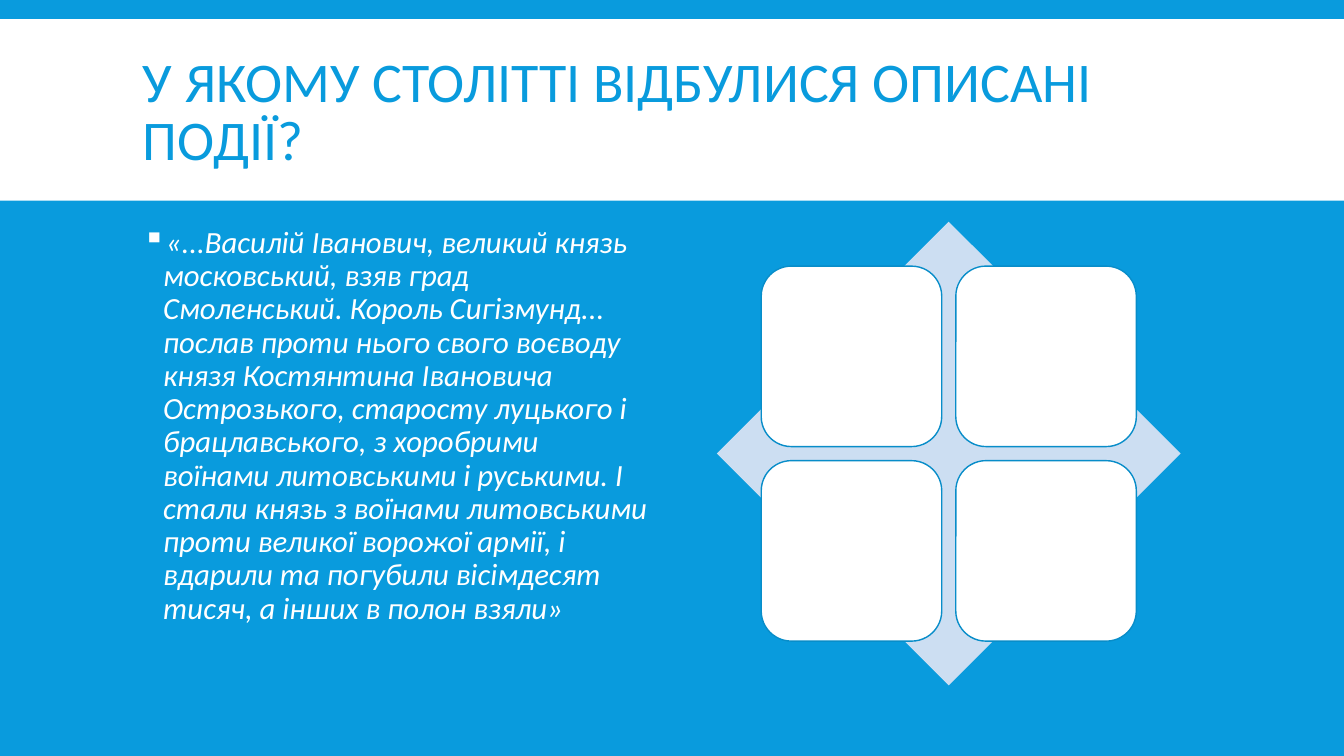
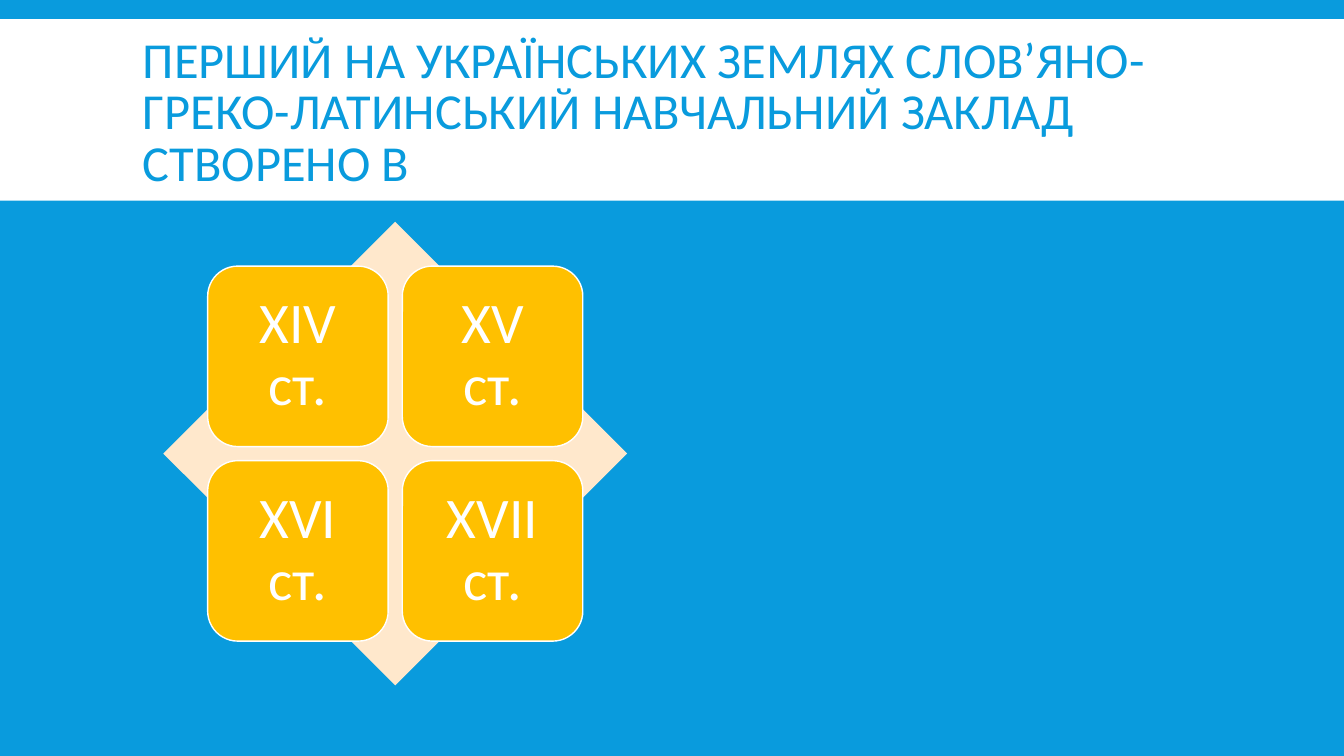
"""Build two history quiz slides with a title band and a diamond of four answer tiles."""
from dataclasses import dataclass

from lxml import etree
from pptx import Presentation
from pptx.dml.color import RGBColor
from pptx.enum.shapes import MSO_SHAPE
from pptx.enum.text import MSO_ANCHOR, PP_ALIGN
from pptx.oxml.ns import qn
from pptx.util import Inches, Pt

RECTANGLE = MSO_SHAPE.RECTANGLE
DIAMOND = MSO_SHAPE.DIAMOND
ROUNDED = MSO_SHAPE.ROUNDED_RECTANGLE
TOP, MIDDLE = MSO_ANCHOR.TOP, MSO_ANCHOR.MIDDLE
LEFT, CENTER = PP_ALIGN.LEFT, PP_ALIGN.CENTER


@dataclass(frozen=True)
class Theme:
    font: str = "Calibri"
    blue: str = "099BDD"
    white: str = "FFFFFF"
    body_size: int = 22
    tile_size: int = 41
    title_spacing: float = 0.85
    text_spacing: float = 0.9


THEME = Theme()
SLIDE_WIDTH, SLIDE_HEIGHT = 13.33, 7.5
BAND_BOX = (0, 0.19, SLIDE_WIDTH, 1.8)
TITLE_BOX = (1.32, 0.31, 10.7, 1.65)
QUOTE_BOX = (1.32, 2.2, 5.2, 4.6)
BULLET_INDENT = 0.2
DIAMOND_TOP, DIAMOND_SIZE = 2.2, 4.6
TILE_SIZE, TILE_GAP, TILE_INSET = 1.79, 0.14, 0.17

SLIDES = [
    {
        "title": "У ЯКОМУ СТОЛІТТІ ВІДБУЛИСЯ ОПИСАНІ ПОДІЇ?",
        "title_size": 40,
        "quote": (
            "«...Василій Іванович, великий князь московський, взяв град Смоленський. "
            "Король Сигізмунд... послав проти нього свого воєводу князя Костянтина "
            "Івановича Острозького, старосту луцького і брацлавського, з хоробрими "
            "воїнами литовськими і руськими. І стали князь з воїнами литовськими проти "
            "великої ворожої армії, і вдарили та погубили вісімдесят тисяч, а інших в "
            "полон взяли»"
        ),
        "diamond_left": 7.11,
        "diamond_fill": "CCDEF2",
        "tile_fill": "FFFFFF",
        "tile_line": "088DC9",
        "answers": ["", "", "", ""],
    },
    {
        "title": "ПЕРШИЙ НА УКРАЇНСЬКИХ ЗЕМЛЯХ СЛОВ’ЯНО-ГРЕКО-ЛАТИНСЬКИЙ "
                 "НАВЧАЛЬНИЙ ЗАКЛАД СТВОРЕНО В",
        "title_size": 36,
        "quote": "",
        "diamond_left": 1.62,
        "diamond_fill": "FFE8CC",
        "tile_fill": "FFC000",
        "tile_line": "FFFFFF",
        "answers": ["XIV ст.", "XV ст.", "XVI ст.", "XVII ст."],
    },
]


def color(value):
    return RGBColor.from_string(value)


def add_panel(slide, kind, box, fill, line=None):
    shape = slide.shapes.add_shape(kind, *map(Inches, box))
    shape.shadow.inherit = False
    shape.fill.solid()
    shape.fill.fore_color.rgb = color(fill)
    if line:
        shape.line.color.rgb = color(line)
        shape.line.width = Pt(1)
    else:
        shape.line.fill.background()
    return shape


def add_bullet(paragraph):
    properties = paragraph._p.get_or_add_pPr()
    properties.set("marL", str(Inches(BULLET_INDENT)))
    properties.set("indent", str(-Inches(BULLET_INDENT)))
    bullet_color = etree.SubElement(properties, qn("a:buClr"))
    etree.SubElement(bullet_color, qn("a:srgbClr"), val=THEME.white)
    etree.SubElement(properties, qn("a:buChar"), char="▪")


def write_text(shape, text, size, text_color, spacing, anchor=MIDDLE,
               alignment=LEFT, bullet=False, italic=False):
    frame = shape.text_frame
    frame.word_wrap = True
    frame.vertical_anchor = anchor
    frame.text = text
    paragraph = frame.paragraphs[0]
    if bullet:
        add_bullet(paragraph)
    paragraph.alignment = alignment
    paragraph.line_spacing = spacing
    font = paragraph.runs[0].font
    font.name = THEME.font
    font.size = Pt(size)
    font.italic = italic
    font.color.rgb = color(text_color)


def add_title(slide, content):
    add_panel(slide, RECTANGLE, BAND_BOX, THEME.white)
    title = slide.shapes.add_textbox(*map(Inches, TITLE_BOX))
    write_text(title, content["title"], content["title_size"], THEME.blue,
               THEME.title_spacing)


def add_quote(slide, text):
    quote = slide.shapes.add_textbox(*map(Inches, QUOTE_BOX))
    write_text(quote, text, THEME.body_size, THEME.white, THEME.text_spacing,
               anchor=TOP, bullet=True, italic=True)


def add_answers(slide, content):
    left = content["diamond_left"]
    add_panel(slide, DIAMOND, (left, DIAMOND_TOP, DIAMOND_SIZE, DIAMOND_SIZE),
              content["diamond_fill"])
    margin = (DIAMOND_SIZE - 2 * TILE_SIZE - TILE_GAP) / 2
    step = TILE_SIZE + TILE_GAP
    for index, answer in enumerate(content["answers"]):
        row, column = divmod(index, 2)
        box = (left + margin + column * step, DIAMOND_TOP + margin + row * step,
               TILE_SIZE, TILE_SIZE)
        tile = add_panel(slide, ROUNDED, box, content["tile_fill"], content["tile_line"])
        if answer:
            frame = tile.text_frame
            frame.margin_left = frame.margin_right = Inches(TILE_INSET)
            frame.margin_top = frame.margin_bottom = Inches(TILE_INSET)
            write_text(tile, answer, THEME.tile_size, THEME.white,
                       THEME.text_spacing, alignment=CENTER)


def main():
    presentation = Presentation()
    presentation.slide_width = Inches(SLIDE_WIDTH)
    presentation.slide_height = Inches(SLIDE_HEIGHT)
    for content in SLIDES:
        slide = presentation.slides.add_slide(presentation.slide_layouts[6])
        slide.background.fill.solid()
        slide.background.fill.fore_color.rgb = color(THEME.blue)
        add_title(slide, content)
        if content["quote"]:
            add_quote(slide, content["quote"])
        add_answers(slide, content)
    presentation.save("out.pptx")


if __name__ == "__main__":
    main()
